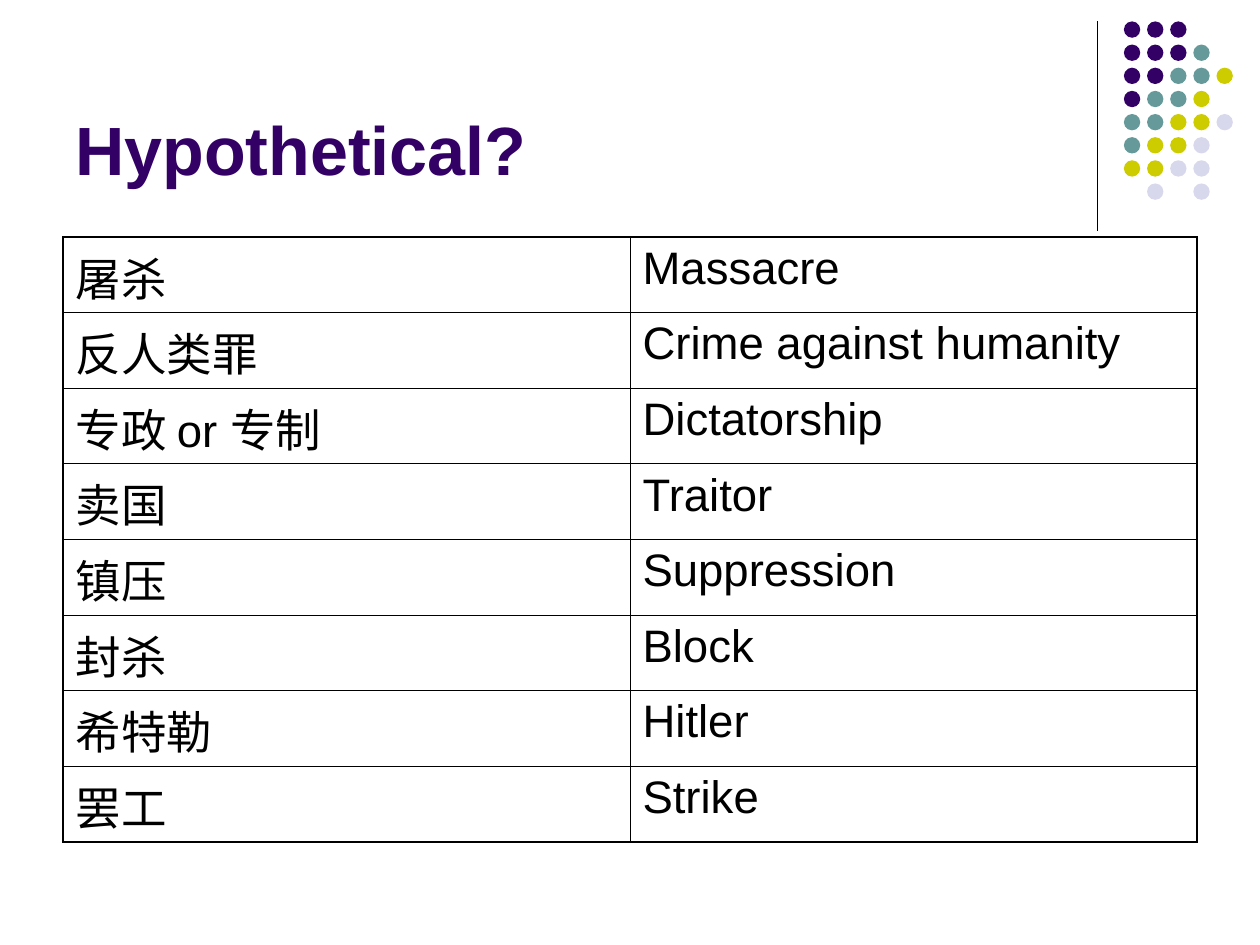
from dataclasses import dataclass

from lxml import etree
from pptx import Presentation
from pptx import util as u
from pptx.dml.color import RGBColor
from pptx.enum import shapes, text
from pptx.oxml.ns import qn


@dataclass(frozen=True)
class Theme:
    font: str = "Arial"
    title_size: float = 39
    body_size: float = 26
    space_before: float = 6.5
    rule: float = 0.75
    outer_border: float = 1.08
    inner_border: float = 0.45
    black: str = "000000"
    purple: str = "330066"
    teal: str = "669999"
    olive: str = "CCCC00"
    lavender: str = "D8D8EC"


# One letter per dot: purple, teal, olive, lavender; a full stop is a gap.
DOT_ROWS = ["PPP", "PPPT", "PPTTO", "PTTO", "TTOOL", "TOOL", "OOLL", ".L.L"]

VOCABULARY = [
    ("屠杀", "Massacre"),
    ("反人类罪", "Crime against humanity"),
    ("专政 or 专制", "Dictatorship"),
    ("卖国", "Traitor"),
    ("镇压", "Suppression"),
    ("封杀", "Block"),
    ("希特勒", "Hitler"),
    ("罢工", "Strike"),
]


class SlideBuilder:
    def __init__(self, slide, theme):
        self.slide = slide
        self.theme = theme

    def format_runs(self, paragraph, size, color, bold=False):
        for run in paragraph.runs:
            run.font.name = self.theme.font
            run.font.size = u.Pt(size)
            run.font.bold = bold
            run.font.color.rgb = RGBColor.from_string(color)

    def vertical_rule(self, left, top, bottom):
        x = u.Inches(left)
        line = self.slide.shapes.add_connector(
            shapes.MSO_CONNECTOR.STRAIGHT, x, u.Inches(top), x, u.Inches(bottom))
        line.line.color.rgb = RGBColor.from_string(self.theme.black)
        line.line.width = u.Pt(self.theme.rule)
        etree.SubElement(line._element.spPr, qn("a:effectLst"))

    def dot_pattern(self, left, top, pitch, diameter, rows):
        colors = {"P": self.theme.purple, "T": self.theme.teal,
                  "O": self.theme.olive, "L": self.theme.lavender}
        group = self.slide.shapes.add_group_shape()
        size = u.Inches(diameter)
        for row, letters in enumerate(rows):
            for column, letter in enumerate(letters):
                if letter not in colors:
                    continue
                dot = group.shapes.add_shape(
                    shapes.MSO_SHAPE.OVAL, u.Inches(left + column * pitch),
                    u.Inches(top + row * pitch), size, size)
                dot.shadow.inherit = False
                dot.fill.solid()
                dot.fill.fore_color.rgb = RGBColor.from_string(colors[letter])
                dot.line.fill.background()

    def title(self, left, top, width, height, wording):
        box = self.slide.shapes.add_textbox(*map(u.Inches, (left, top, width, height)))
        frame = box.text_frame
        frame.word_wrap = True
        frame.vertical_anchor = text.MSO_ANCHOR.BOTTOM
        frame.text = wording
        self.format_runs(frame.paragraphs[0], self.theme.title_size,
                         self.theme.purple, bold=True)

    def table(self, left, top, width, row_height, rows):
        last_row, last_column = len(rows) - 1, len(rows[0]) - 1
        frame = self.slide.shapes.add_table(
            len(rows), len(rows[0]), u.Inches(left), u.Inches(top),
            u.Inches(width), u.Inches(row_height * len(rows)))
        table = frame.table
        table.first_row = False
        table.horz_banding = False
        for i, row in enumerate(rows):
            for j, wording in enumerate(row):
                cell = table.cell(i, j)
                cell.text_frame.text = wording
                paragraph = cell.text_frame.paragraphs[0]
                paragraph.space_before = u.Pt(self.theme.space_before)
                self.format_runs(paragraph, self.theme.body_size, self.theme.black)
                self.cell_borders(cell, {"lnL": j == 0, "lnR": j == last_column,
                                         "lnT": i == 0, "lnB": i == last_row})
                cell.fill.background()

    def cell_borders(self, cell, outer_edges):
        """Draw each edge, thicker where it lies on the outside of the table."""
        properties = cell._tc.get_or_add_tcPr()
        for tag, is_outer in outer_edges.items():
            points = self.theme.outer_border if is_outer else self.theme.inner_border
            line = etree.SubElement(properties, qn(f"a:{tag}"), w=str(u.Pt(points)))
            fill = etree.SubElement(line, qn("a:solidFill"))
            etree.SubElement(fill, qn("a:srgbClr"), val=self.theme.black)


def main():
    presentation = Presentation()
    presentation.slide_width = u.Inches(10)
    presentation.slide_height = u.Inches(7.5)
    slide = presentation.slides.add_slide(presentation.slide_layouts[6])
    builder = SlideBuilder(slide, Theme())
    builder.vertical_rule(8.71, 0.17, 1.83)
    builder.dot_pattern(8.92, 0.17, 0.18375, 0.13, DOT_ROWS)
    builder.title(0.5, 0.13, 8.25, 1.42, "Hypothetical?")
    builder.table(0.5, 1.88, 9, 0.6, VOCABULARY)
    presentation.save("out.pptx")


if __name__ == "__main__":
    main()
